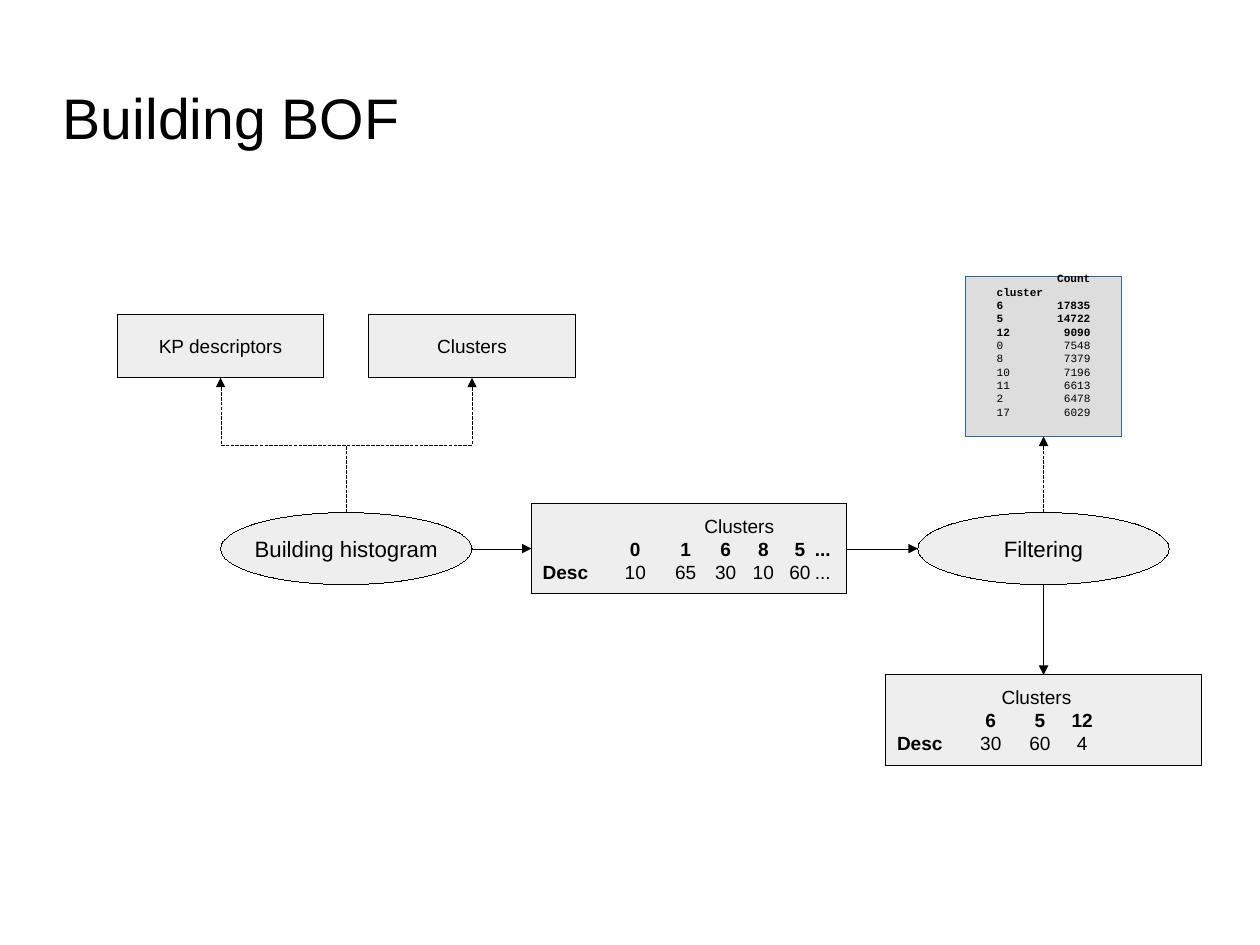
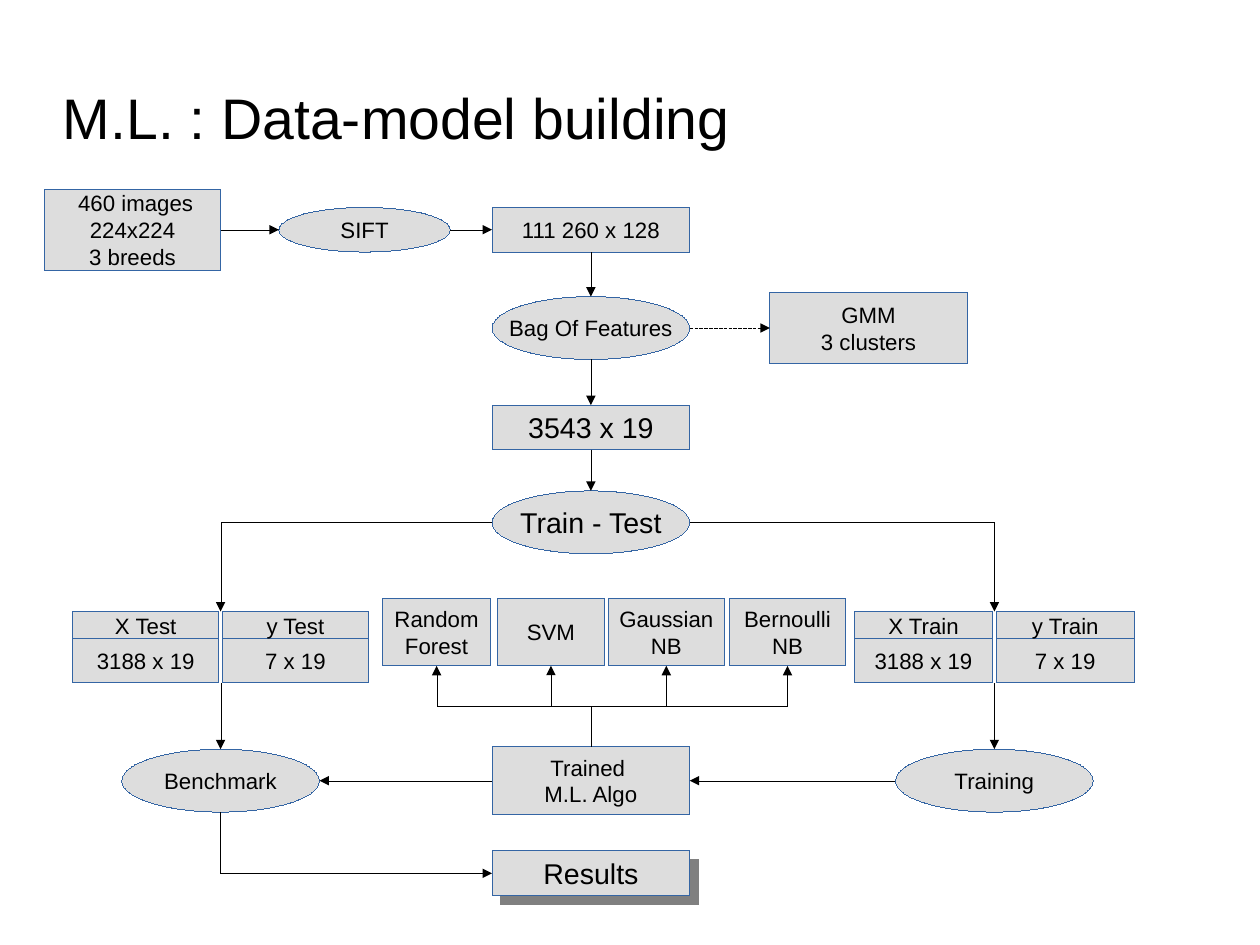
"""Builds two flow-chart slides on bag-of-features and model building."""
from lxml.etree import SubElement
from pptx import Presentation
from pptx.dml.color import RGBColor
from pptx.enum.dml import MSO_LINE
from pptx.enum.shapes import MSO_CONNECTOR, MSO_SHAPE, MSO_SHAPE_TYPE
from pptx.enum.text import MSO_ANCHOR, PP_ALIGN
from pptx.oxml.ns import qn
from pptx.util import Cm, Inches, Pt

WIDTH_CM, HEIGHT_CM = 28, 21
COLOURS = {"ink": "000000", "pale": "EEEEEE", "grey": "DDDDDD",
           "blue": "3465A4", "shadow": "808080"}
BOF_STYLE = ("pale", "ink")
MODEL_STYLE = ("grey", "blue")
TOP, LEFT, BOTTOM, RIGHT = range(4)
HEADING = {TOP: 270, LEFT: 180, BOTTOM: 90, RIGHT: 0}
BOX, OVAL = MSO_SHAPE.RECTANGLE, MSO_SHAPE.OVAL

HIST_SIZE = (2.76, 0.79)
BOF_ROW, FILTER_X = 4.8, 9.13
BOF_NODES = {
    "build": ("Building histogram", OVAL, 3.03, BOF_ROW, 2.2, 0.63, 14),
    "descriptors": ("KP descriptors", BOX, 1.93, 3.03, 1.81, 0.55, 12),
    "clusters": ("Clusters", BOX, 4.13, 3.03, 1.81, 0.55, 12),
    "histogram": ("", BOX, 6.03, BOF_ROW, *HIST_SIZE, 12),
    "filter": ("Filtering", OVAL, FILTER_X, BOF_ROW, 2.2, 0.63, 14),
    "filtered": ("", BOX, FILTER_X, 6.3, *HIST_SIZE, 12),
}
HISTOGRAMS = {
    "histogram": (1.72, (0.81, 1.25, 1.6, 1.93, 2.25, 2.45),
                  ("0", "1", "6", "8", "5", "..."),
                  ("10", "65", "30", "10", "60", "...")),
    "filtered": (1.22, (0.82, 1.25, 1.62), ("6", "5", "12"), ("30", "60", "4")),
}
COUNTS = [("6", "17835"), ("5", "14722"), ("12", "9090"), ("0", "7548"),
          ("8", "7379"), ("10", "7196"), ("11", "6613"), ("2", "6478"),
          ("17", "6029")]
KEPT_CLUSTERS = 3
BOF_ARROWS = [
    ("build", TOP, "descriptors", BOTTOM, True),
    ("build", TOP, "clusters", BOTTOM, True),
    ("build", RIGHT, "histogram", LEFT, False),
    ("histogram", RIGHT, "filter", LEFT, False),
    ("filter", TOP, "counts", BOTTOM, True),
    ("filter", BOTTOM, "filtered", TOP, False),
]

TEST_X, SPINE_X, TRAIN_X = 1.93, 5.17, 8.7
INPUT_Y, BAG_Y, TRAIN_Y = 2.01, 2.87, 6.83
NODE_W, BAR_H, OVAL_H = 1.73, 0.39, 0.55
MODEL_NODES = {
    "images": (" 460 images\n224x224\n3 breeds", BOX, 1.16, INPUT_Y, 1.54, 0.71, 14),
    "sift": ("SIFT", OVAL, 3.19, INPUT_Y, 1.5, BAR_H, 14),
    "keypoints": ("111 260 x 128", BOX, SPINE_X, INPUT_Y, NODE_W, BAR_H, 14),
    "bag": ("Bag Of Features", OVAL, SPINE_X, BAG_Y, NODE_W, OVAL_H, 14),
    "gmm": ("GMM\n3 clusters", BOX, 7.6, BAG_Y, NODE_W, 0.63, 14),
    "features": ("3543 x 19", BOX, SPINE_X, 3.74, NODE_W, BAR_H, 18),
    "split": ("Train - Test", OVAL, SPINE_X, 4.57, NODE_W, OVAL_H, 18),
    "trained": ("Trained \nM.L. Algo", BOX, SPINE_X, TRAIN_Y, NODE_W, 0.59, 14),
    "training": ("Training", OVAL, TRAIN_X, TRAIN_Y, NODE_W, OVAL_H, 14),
    "benchmark": ("Benchmark", OVAL, TEST_X, TRAIN_Y, NODE_W, OVAL_H, 14),
    "results": ("Results", BOX, SPINE_X, 7.64, NODE_W, BAR_H, 18),
}
ALGORITHMS = [("Random\nForest", 3.82, 0.94), ("SVM", 4.82, 0.94),
              ("Gaussian\nNB", 5.83, 1.02), ("Bernoulli\nNB", 6.89, 1.02)]
DATA_SETS = {"Test": (TEST_X, 1.28), "Train": (TRAIN_X, 1.21)}
DATA_SHAPES = {"X": "3188 x 19", "y": "7 x 19"}
MODEL_ARROWS = [
    ("images", RIGHT, "sift", LEFT, False),
    ("sift", RIGHT, "keypoints", LEFT, False),
    ("keypoints", BOTTOM, "bag", TOP, False),
    ("bag", RIGHT, "gmm", LEFT, True),
    ("bag", BOTTOM, "features", TOP, False),
    ("features", BOTTOM, "split", TOP, False),
    ("split", LEFT, "Test", TOP, False),
    ("split", RIGHT, "Train", TOP, False),
    ("Test", BOTTOM, "benchmark", TOP, False),
    ("Train", BOTTOM, "training", TOP, False),
    ("training", LEFT, "trained", RIGHT, False),
    ("trained", LEFT, "benchmark", RIGHT, False),
    ("benchmark", BOTTOM, "results", LEFT, False),
] + [("trained", TOP, name, BOTTOM, False) for name, _, _ in ALGORITHMS]


def colour(name):
    return RGBColor.from_string(COLOURS[name])


def add_run(paragraph, text, size, bold=False, font="Arial"):
    run = paragraph.add_run()
    run.text = text
    run.font.size, run.font.bold, run.font.name = Pt(size), bold, font
    run.font.color.rgb = colour("ink")


def add_lines(frame, count):
    return [frame.paragraphs[0]] + [frame.add_paragraph() for _ in range(count - 1)]


def set_tabs(paragraph, positions, align):
    tabs = SubElement(paragraph._p.get_or_add_pPr(), qn("a:tabLst"))
    for position in positions:
        SubElement(tabs, qn("a:tab"), pos=str(Inches(position)), algn=align)


def draw_hairline(shape, name):
    shape.line.color.rgb = colour(name)
    outline = shape.element.spPr.find(qn("a:ln"))
    outline.set("w", "0")
    return outline


def add_node(shapes, style, text, kind, x, y, width, height, size):
    fill, outline = style
    node = shapes.add_shape(kind, Inches(x - width / 2), Inches(y - height / 2),
                            Inches(width), Inches(height))
    node.shadow.inherit = False
    node.fill.solid()
    node.fill.fore_color.rgb = colour(fill)
    draw_hairline(node, outline)
    frame = node.text_frame
    frame.word_wrap = False
    frame.vertical_anchor = MSO_ANCHOR.MIDDLE
    frame.margin_top = frame.margin_bottom = 0
    if text:
        lines = text.split("\n")
        for paragraph, line in zip(add_lines(frame, len(lines)), lines):
            paragraph.alignment = PP_ALIGN.CENTER
            add_run(paragraph, line, size)
    return node


def site_point(shape, site):
    across = {LEFT: 0, RIGHT: 2}.get(site, 1)
    down = {TOP: 0, BOTTOM: 2}.get(site, 1)
    return (shape.left + shape.width * across // 2,
            shape.top + shape.height * down // 2)


def is_rectangle(shape):
    return (shape.shape_type == MSO_SHAPE_TYPE.AUTO_SHAPE
            and shape.auto_shape_type == BOX)


def add_elbow(shapes, start, start_site, end, end_site):
    (x1, y1), (x2, y2) = start, end
    dx, dy = x2 - x1, y2 - y1
    upright = start_site in (TOP, BOTTOM)
    along, across = (abs(dy), abs(dx)) if upright else (abs(dx), abs(dy))
    left, top = (x1 + x2 - along) // 2, (y1 + y2 - across) // 2
    elbow = shapes.add_connector(MSO_CONNECTOR.ELBOW, left, top,
                                 left + along, top + across)
    properties = elbow.element.spPr
    frame = properties.find(qn("a:xfrm"))
    frame.set("rot", str(HEADING[start_site] * 60000))
    if {TOP: dx < 0, LEFT: dy > 0, BOTTOM: dx > 0, RIGHT: dy < 0}[start_site]:
        frame.set("flipV", "1")
    if upright != (end_site in (TOP, BOTTOM)):
        properties.find(qn("a:prstGeom")).set("prst", "bentConnector2")
    return elbow


def add_arrow(shapes, source, source_site, target, target_site, dotted):
    start, end = site_point(source, source_site), site_point(target, target_site)
    if min(abs(a - b) for a, b in zip(start, end)) > Inches(0.02):
        arrow = add_elbow(shapes, start, source_site, end, target_site)
    else:
        arrow = shapes.add_connector(MSO_CONNECTOR.STRAIGHT, *start, *end)
        if is_rectangle(source):
            arrow.begin_connect(source, source_site)
        if is_rectangle(target):
            arrow.end_connect(target, target_site)
    outline = draw_hairline(arrow, "ink")
    if dotted:
        arrow.line.dash_style = MSO_LINE.SQUARE_DOT
    SubElement(outline, qn("a:tailEnd"), type="triangle")
    SubElement(arrow.element.spPr, qn("a:effectLst"))


def add_arrows(shapes, nodes, arrows):
    for source, source_site, target, target_site, dotted in arrows:
        add_arrow(shapes, nodes[source], source_site,
                  nodes[target], target_site, dotted)


def add_titled_slide(deck, layout, title):
    slide = deck.slides.add_slide(layout)
    frame = slide.shapes.title.text_frame
    frame.vertical_anchor = MSO_ANCHOR.MIDDLE
    frame.margin_left = frame.margin_right = frame.margin_top = frame.margin_bottom = 0
    frame.paragraphs[0].alignment = PP_ALIGN.LEFT
    add_run(frame.paragraphs[0], title, 36)
    return slide.shapes


def fill_histogram(node, heading_x, columns, names, values):
    frame = node.text_frame
    frame.word_wrap = True
    heading, header, row = add_lines(frame, 3)
    for paragraph, stops in ((heading, [heading_x]), (header, columns), (row, columns)):
        paragraph.alignment = PP_ALIGN.LEFT
        set_tabs(paragraph, stops, "ctr")
    add_run(heading, "\tClusters", 12)
    add_run(header, "\t" + "\t".join(names), 12, True)
    add_run(row, "Desc", 12, True)
    add_run(row, "\t" + "\t".join(values), 12)


def fill_counts(node):
    frame = node.text_frame
    frame.word_wrap = True
    frame.vertical_anchor = MSO_ANCHOR.BOTTOM
    frame.margin_left, frame.margin_right = Inches(0.27), Inches(0.2)
    frame.margin_bottom = Inches(0.16)
    rows = [("", "Count"), ("cluster",)] + COUNTS
    for index, (paragraph, cells) in enumerate(zip(add_lines(frame, len(rows)), rows)):
        paragraph.alignment = PP_ALIGN.LEFT
        set_tabs(paragraph, [0.82], "r")
        add_run(paragraph, "\t".join(cells), 7, index < KEPT_CLUSTERS + 2, "Courier New")


def add_data_set(shapes, name, centre, width):
    group = shapes.add_group_shape()
    pitch = width + 0.03
    for side, (axis, size) in zip((-0.5, 0.5), DATA_SHAPES.items()):
        x = centre + side * pitch
        add_node(group.shapes, MODEL_STYLE, size, BOX, x, 5.78, width, 0.39, 14)
        add_node(group.shapes, MODEL_STYLE, f"{axis} {name}", BOX, x, 5.47, width, 0.24, 14)
    return group


def add_hard_shadow(node):
    effects = node.element.spPr.find(qn("a:effectLst"))
    shadow = SubElement(effects, qn("a:outerShdw"), blurRad="0", dist=str(Pt(8)),
                        dir=str(45 * 60000), algn="tl", rotWithShape="0")
    SubElement(shadow, qn("a:srgbClr"), val=COLOURS["shadow"])


def build_bof(shapes):
    nodes = {key: add_node(shapes, BOF_STYLE, *node) for key, node in BOF_NODES.items()}
    for key, histogram in HISTOGRAMS.items():
        fill_histogram(nodes[key], *histogram)
    nodes["counts"] = add_node(shapes, MODEL_STYLE, "", BOX, FILTER_X, 3.12, 1.36, 1.4, 7)
    fill_counts(nodes["counts"])
    add_arrows(shapes, nodes, BOF_ARROWS)


def build_model(shapes):
    nodes = {key: add_node(shapes, MODEL_STYLE, *node)
             for key, node in MODEL_NODES.items()}
    for name, x, width in ALGORITHMS:
        nodes[name] = add_node(shapes, MODEL_STYLE, name, BOX, x, 5.53, width, 0.59, 14)
    for name, (centre, width) in DATA_SETS.items():
        nodes[name] = add_data_set(shapes, name, centre, width)
    add_hard_shadow(nodes["results"])
    add_arrows(shapes, nodes, MODEL_ARROWS)


def main():
    deck = Presentation()
    deck.slide_width, deck.slide_height = Cm(WIDTH_CM), Cm(HEIGHT_CM)
    layout = deck.slide_layouts[5]
    title = layout.placeholders[0]
    title.left, title.top = Inches(0.55), Inches(0.63)
    title.width, title.height = Inches(7.87), Inches(0.79)
    build_bof(add_titled_slide(deck, layout, "Building BOF"))
    build_model(add_titled_slide(deck, layout, "M.L. : Data-model building"))
    deck.save("out.pptx")


if __name__ == "__main__":
    main()
